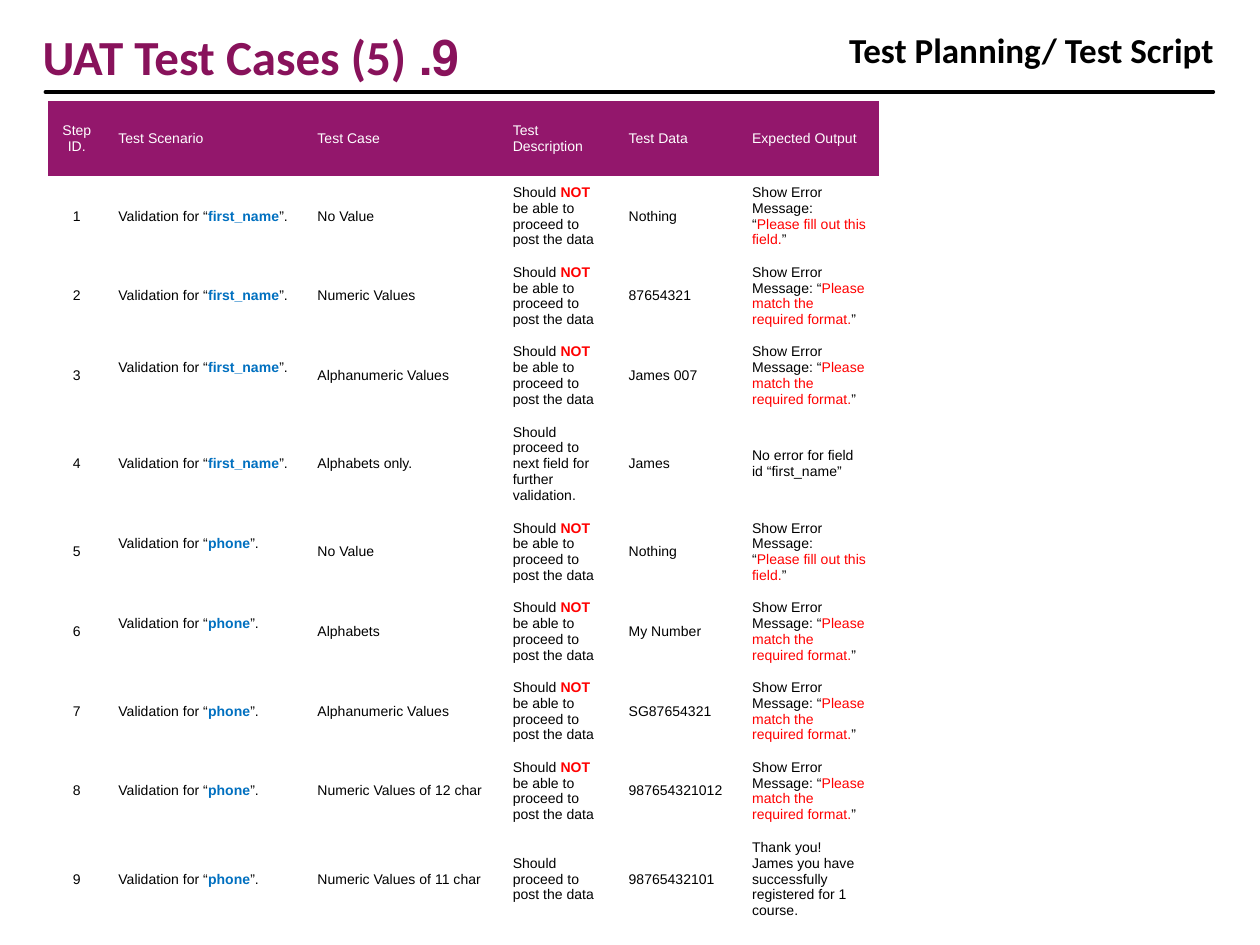
"""Builds the UAT test cases slide with its validation table."""
from dataclasses import dataclass

from lxml import etree
from pptx import Presentation
from pptx.dml.color import RGBColor as Rgb
from pptx.enum.shapes import MSO_CONNECTOR as Connector
from pptx.enum.text import MSO_ANCHOR as Anchor, MSO_AUTO_SIZE as AutoSize, PP_ALIGN as Align
from pptx.oxml.ns import qn
from pptx.util import Inches, Pt


@dataclass(frozen=True)
class Theme:
    black: Rgb = Rgb.from_string("000000")
    white: Rgb = Rgb.from_string("FFFFFF")
    title: Rgb = Rgb.from_string("88125B")
    header: Rgb = Rgb.from_string("93176C")
    field: Rgb = Rgb.from_string("0070C0")
    alert: Rgb = Rgb.from_string("FF0000")
    heading_font: str = "Calibri"
    table_font: str = "Arial"
    title_size: Pt = Pt(28)
    section_size: Pt = Pt(20)
    table_size: Pt = Pt(8)
    rule_width: Pt = Pt(2)


theme = Theme()


def style(paragraph, name, size, color, bold=False):
    paragraph.font.name = name
    paragraph.font.size = size
    paragraph.font.color.rgb = color
    paragraph.font.bold = bold


def fill_cell(cell, text, color, accent, bold, align):
    cell.vertical_anchor = Anchor.MIDDLE
    for index, line in enumerate(text.split("\n")):
        frame = cell.text_frame
        para = frame.add_paragraph() if index else frame.paragraphs[0]
        para.alignment = align
        style(para, theme.table_font, theme.table_size, color)
        for order, piece in enumerate(line.split("|")):
            span = para.add_run()
            span.text = piece
            span.font.size = theme.table_size
            span.font.name = theme.table_font
            span.font.color.rgb = accent if order % 2 else color
            span.font.bold = bool(order % 2 and bold)


deck = Presentation()
deck.slide_width, deck.slide_height = Inches(10), Inches(7.5)
page = deck.slides.add_slide(deck.slide_layouts[6])

rule = page.shapes.add_connector(
    Connector.STRAIGHT, Inches(0.36), Inches(0.73), Inches(9.63), Inches(0.73))
rule.line.color.rgb = theme.black
rule.line.width = theme.rule_width
rule.line._get_or_add_ln().set("cap", "rnd")
etree.SubElement(rule._element.spPr, qn("a:effectLst"))

section = page.shapes.add_textbox(Inches(6.64), Inches(0.18), Inches(3.17), Inches(0.44))
section.text_frame.word_wrap = False
section.text_frame.auto_size = AutoSize.SHAPE_TO_FIT_TEXT
section_para = section.text_frame.paragraphs[0]
section_para.text = "Test Planning/ Test Script"
style(section_para, theme.heading_font, theme.section_size, theme.black, True)

title = page.shapes.add_textbox(Inches(0.24), Inches(0.21), Inches(6.67), Inches(0.38))
title.text_frame.word_wrap = True
title_para = title.text_frame.paragraphs[0]
title_para.text = "9. UAT Test Cases (5)"
title_para.alignment = Align.LEFT
title_para.line_spacing = 0.9
title_para._p.get_or_add_pPr().set("rtl", "1")
style(title_para, theme.heading_font, theme.title_size, theme.title, True)

headers = ["Step\nID.", "Test Scenario", "Test Case", "Test Description",
           "Test Data", "Expected Output"]
blocked = "Should |NOT| be able to proceed to post the data"
missing = "Show Error Message:\n“|Please fill out this field.|”"
mismatch = "Show Error Message: “|Please match the required format.|”"
cases = [
    ("first_name", "No Value", blocked, "Nothing", missing),
    ("first_name", "Numeric Values", blocked, "87654321", mismatch),
    ("first_name", "Alphanumeric Values", blocked, "James 007", mismatch),
    ("first_name", "Alphabets only.",
     "Should proceed to next field for further validation.", "James",
     "No error for field id “first_name”"),
    ("phone", "No Value", blocked, "Nothing", missing),
    ("phone", "Alphabets", blocked, "My Number", mismatch),
    ("phone", "Alphanumeric Values", blocked, "SG87654321", mismatch),
    ("phone", "Numeric Values of 12 char", blocked, "987654321012", mismatch),
    ("phone", "Numeric Values of 11 char", "Should proceed to post the data", "98765432101",
     "Thank you!\nJames you have successfully registered for 1 course."),
]
rows = [headers] + [
    [str(step), f"Validation for “|{field}|”.", *rest]
    for step, (field, *rest) in enumerate(cases, 1)]
column_widths = [0.46, 1.58, 1.55, 0.92, 0.98, 1.11]
header_height, row_height, tall_height = 0.6, 0.63, 0.76
tall_steps = {4, 9}
raised_steps = {3, 5, 6}

holder = page.shapes.add_table(
    len(rows), len(headers), Inches(0.38), Inches(0.8), Inches(6.6), Inches(6.53))
table = holder.table
table.horz_banding = False
table._tbl.tblPr.find(qn("a:tableStyleId")).text = "{2D5ABB26-0587-4C30-8999-92F81FD0307C}"
for column, width in zip(table.columns, column_widths):
    column.width = Inches(width)

for step, values in enumerate(rows):
    height = tall_height if step in tall_steps else row_height if step else header_height
    table.rows[step].height = Inches(height)
    for place, text in enumerate(values):
        cell = table.cell(step, place)
        if step:
            cell.fill.background()
        else:
            cell.fill.solid()
            cell.fill.fore_color.rgb = theme.header
        fill_cell(cell, text, theme.black if step else theme.white,
                  theme.field if place == 1 else theme.alert, place in (1, 3),
                  Align.LEFT if place else Align.CENTER)
    if step in raised_steps:
        table.cell(step, 1).margin_bottom = Inches(0.18)

deck.save("out.pptx")
